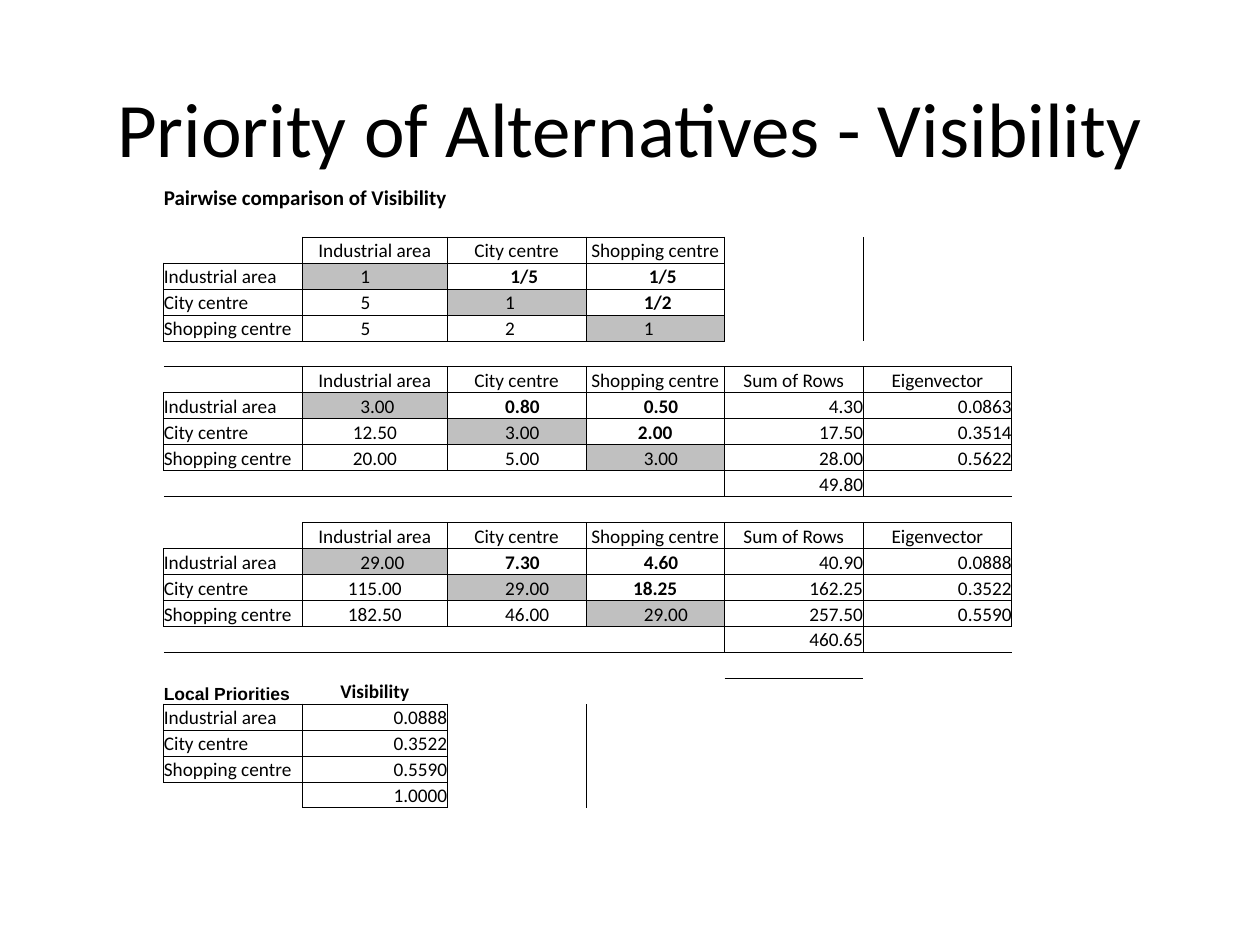
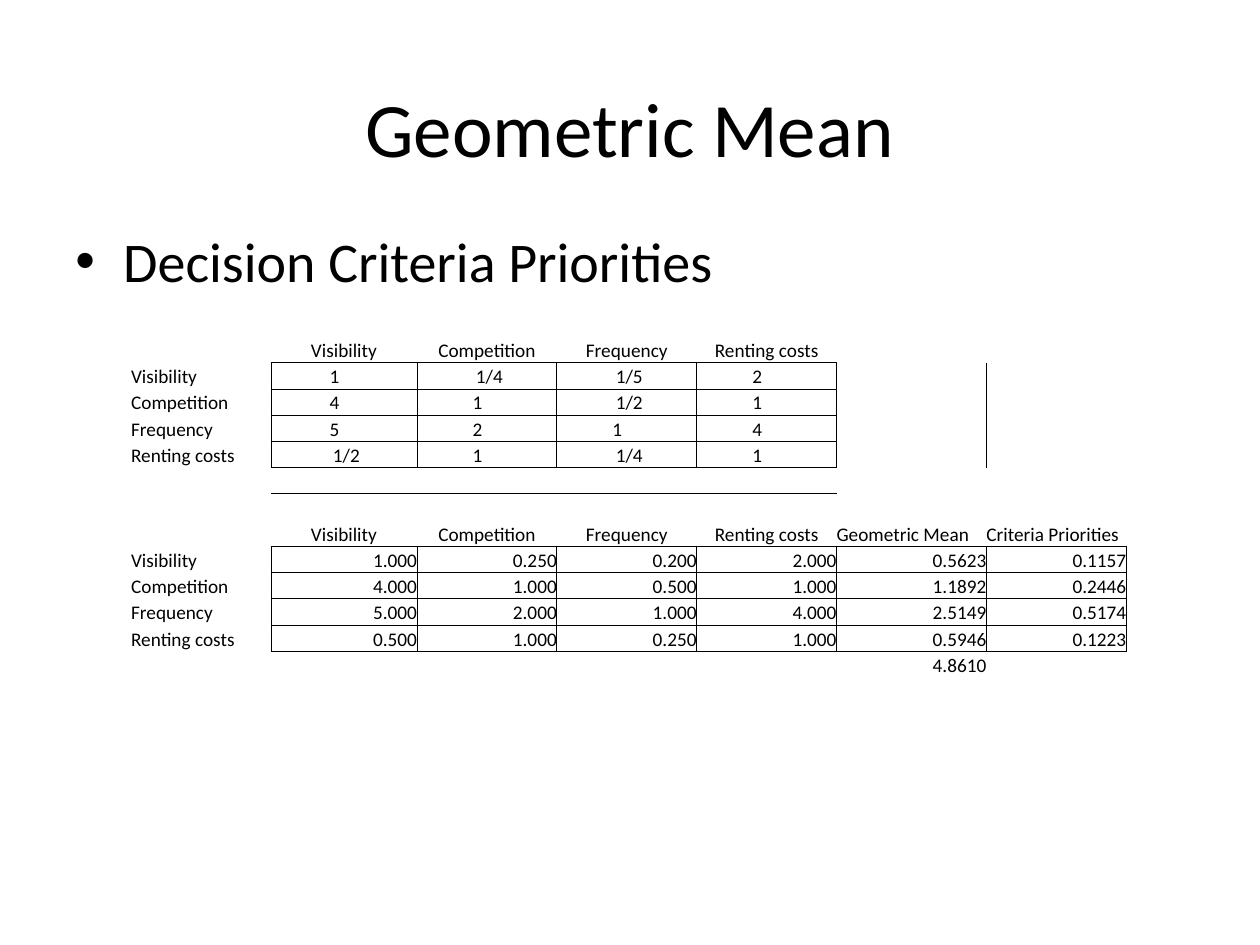
from lxml import etree
from pptx import Presentation
from pptx.dml.color import RGBColor
from pptx.enum import text
from pptx.oxml import ns
from pptx.util import Inches, Pt

COLOURS = {"ink": "000000", "paper": "FFFFFF", "diagonal": "C0C0C0"}
FONT = "Calibri"
LEFT, CENTRE, RIGHT = text.PP_ALIGN.LEFT, text.PP_ALIGN.CENTER, text.PP_ALIGN.RIGHT
PLAIN_TABLE = "{2D5ABB26-0587-4C30-8999-92F81FD0307C}"
SIDES = {"lnL": (0, -1), "lnR": (0, 1), "lnT": (-1, 0), "lnB": (1, 0)}
DIGIT_INSET = 0.15
FRACTION_INSET = 0.04
NUMBER_INSET = 0.46

PLACES = ["Industrial area", "City centre", "Shopping centre"]
RESULTS = ["Sum of Rows", "Eigenvector"]
CRITERIA = ["Visibility", "Competition", "Frequency", "Renting costs"]
MEANS = ["Geometric Mean", "Criteria Priorities"]

COMPARISON = ["1 1/5 1/5", "5 1 1/2", "5 2 1"]
FIRST_SQUARE = ["3.00 0.80 0.50 4.30 0.0863", "12.50 3.00 2.00 17.50 0.3514",
                "20.00 5.00 3.00 28.00 0.5622"]
SECOND_SQUARE = ["29.00 7.30 4.60 40.90 0.0888", "115.00 29.00 18.25 162.25 0.3522",
                 "182.50 46.00 29.00 257.50 0.5590"]
LOCAL_PRIORITIES = ["0.0888", "0.3522", "0.5590", "1.0000"]
RATIOS = ["1 1/4 1/5 2", "4 1 1/2 1", "5 2 1 4", "1/2 1 1/4 1"]
GEOMETRIC = ["1.000 0.250 0.200 2.000 0.5623 0.1157", "4.000 1.000 0.500 1.000 1.1892 0.2446",
             "5.000 2.000 1.000 4.000 2.5149 0.5174", "0.500 1.000 0.250 1.000 0.5946 0.1223"]


def colour(name):
    return RGBColor.from_string(COLOURS[name])


def write(para, words, size=11, font=FONT, bold=False, align=LEFT):
    para.alignment = align
    span = para.add_run()
    span.text = words
    span.font.size = Pt(size)
    span.font.name = font
    span.font.bold = bold
    span.font.color.rgb = colour("ink")


def add_box(page, top, height, anchor):
    box = page.shapes.add_textbox(Inches(0.5), Inches(top), Inches(9), Inches(height))
    box.text_frame.word_wrap = True
    box.text_frame.vertical_anchor = anchor
    return box.text_frame.paragraphs[0]


def add_title(page, words):
    para = add_box(page, 0.38, 1.25, text.MSO_ANCHOR.MIDDLE)
    write(para, words, size=44, align=CENTRE)


def add_bullet(page, words):
    para = add_box(page, 1.75, 4.95, text.MSO_ANCHOR.TOP)
    properties = para._p.get_or_add_pPr()
    properties.set("marL", str(Inches(0.38)))
    properties.set("indent", str(-Inches(0.38)))
    etree.SubElement(properties, ns.qn("a:buFont"), typeface="Arial")
    etree.SubElement(properties, ns.qn("a:buChar"), char="•")
    write(para, words, size=32)


def add_border(cell, side):
    line = etree.SubElement(cell._tc.get_or_add_tcPr(), ns.qn("a:" + side), w=str(Pt(0.5)))
    fill = etree.SubElement(line, ns.qn("a:solidFill"))
    etree.SubElement(fill, ns.qn("a:srgbClr"), val=COLOURS["ink"])


def fill_cell(cell, words="", fill="paper", inset=0, right_inset=0, boxed=False, **style):
    cell.margin_left, cell.margin_right = Inches(inset), Inches(right_inset)
    cell.margin_top = cell.margin_bottom = 0
    cell.vertical_anchor = text.MSO_ANCHOR.BOTTOM
    cell.fill.solid()
    cell.fill.fore_color.rgb = colour(fill)
    para = cell.text_frame.paragraphs[0]
    if words:
        write(para, words, **style)
    else:
        para._p.get_or_add_endParaRPr().set("sz", "1100")


def add_grid(page, left, top, height, widths, row_count, entries):
    frame = page.shapes.add_table(row_count, len(widths), Inches(left), Inches(top),
                                  Inches(sum(widths)), Inches(height))
    table = frame.table
    table.first_row = table.horz_banding = False
    table._tbl.tblPr.find(ns.qn("a:tableStyleId")).text = PLAIN_TABLE
    for column, width in zip(table.columns, widths):
        column.width = Inches(width)
    boxed = {place for place, entry in entries.items() if entry.get("boxed")}
    for r, row in enumerate(table.rows):
        row.height = Inches(height / row_count)
        for c in range(len(widths)):
            cell = table.cell(r, c)
            for side, (down, across) in SIDES.items():
                if {(r, c), (r + down, c + across)} & boxed:
                    add_border(cell, side)
            fill_cell(cell, **entries.get((r, c), {}))
    return table


def put_row(entries, row, column, words, **style):
    for offset, word in enumerate(words):
        entries[row, column + offset] = dict(words=word, **style)


def put_labels(entries, row, words, **style):
    for offset, word in enumerate(words):
        put_row(entries, row + offset, 0, [word], **style)


def centred(word):
    style = {"align": CENTRE}
    if "/" in word:
        style["inset"] = FRACTION_INSET
    elif "." not in word:
        style["right_inset"] = DIGIT_INSET
    return style


def matrix_style(i, j, word):
    if j >= len(PLACES):
        return {"align": RIGHT}
    if (i, j) in [(1, 0), (2, 0), (1, 2)]:
        style = centred(word)
    else:
        style = {"inset": NUMBER_INSET + ("/" in word) * FRACTION_INSET}
    return dict(style, bold=j > i, fill="diagonal" if i == j else "paper")


def put_matrix(entries, top, headings, lines, total=None):
    put_row(entries, top, 1, headings, align=CENTRE, boxed=True)
    put_labels(entries, top + 1, PLACES, boxed=True)
    for i, line in enumerate(lines):
        for j, word in enumerate(line.split()):
            put_row(entries, top + 1 + i, 1 + j, [word], boxed=True,
                    **matrix_style(i, j, word))
    if total:
        put_row(entries, top + 4, 4, [total], align=RIGHT, boxed=True)


def build_visibility(page):
    add_title(page, "Priority of Alternatives - Visibility")
    entries = {(0, 0): dict(words="Pairwise comparison of Visibility", size=12, bold=True)}
    put_matrix(entries, 2, PLACES, COMPARISON)
    put_matrix(entries, 7, PLACES + RESULTS, FIRST_SQUARE, "49.80")
    put_matrix(entries, 13, PLACES + RESULTS, SECOND_SQUARE, "460.65")
    put_row(entries, 19, 0, ["Local Priorities"], size=10, font="Arial", bold=True)
    put_row(entries, 19, 1, ["Visibility"], bold=True, align=CENTRE)
    put_labels(entries, 20, PLACES, boxed=True)
    for i, word in enumerate(LOCAL_PRIORITIES):
        put_row(entries, 20 + i, 1, [word], align=RIGHT, boxed=True)
    table = add_grid(page, 1.3, 1.47, 4.95, [1.1, 1.15, 1.1, 1.1, 1.1, 1.18], 24, entries)
    table.cell(0, 0).merge(table.cell(0, 2))


def build_geometric_mean(page):
    add_bullet(page, "Decision Criteria Priorities")
    add_title(page, "Geometric Mean")
    entries = {}
    for top in (0, 7):
        put_row(entries, top, 1, CRITERIA, align=CENTRE)
        put_labels(entries, top + 1, CRITERIA)
    put_row(entries, 7, 5, MEANS)
    for i, line in enumerate(RATIOS):
        for j, word in enumerate(line.split()):
            put_row(entries, 1 + i, 1 + j, [word], boxed=True, **centred(word))
    for i, line in enumerate(GEOMETRIC):
        put_row(entries, 8 + i, 1, line.split(), align=RIGHT, boxed=True)
    put_row(entries, 12, 5, ["4.8610"], align=RIGHT)
    add_grid(page, 1.04, 2.67, 2.71, [1.11, 1.16, 1.11, 1.11, 1.11, 1.19, 1.11], 13, entries)


def main():
    deck = Presentation()
    deck.slide_width, deck.slide_height = Inches(10), Inches(7.5)
    for build in (build_visibility, build_geometric_mean):
        page = deck.slides.add_slide(deck.slide_layouts[6])
        page.background.fill.solid()
        page.background.fill.fore_color.rgb = colour("paper")
        build(page)
    deck.save("out.pptx")


if __name__ == "__main__":
    main()
